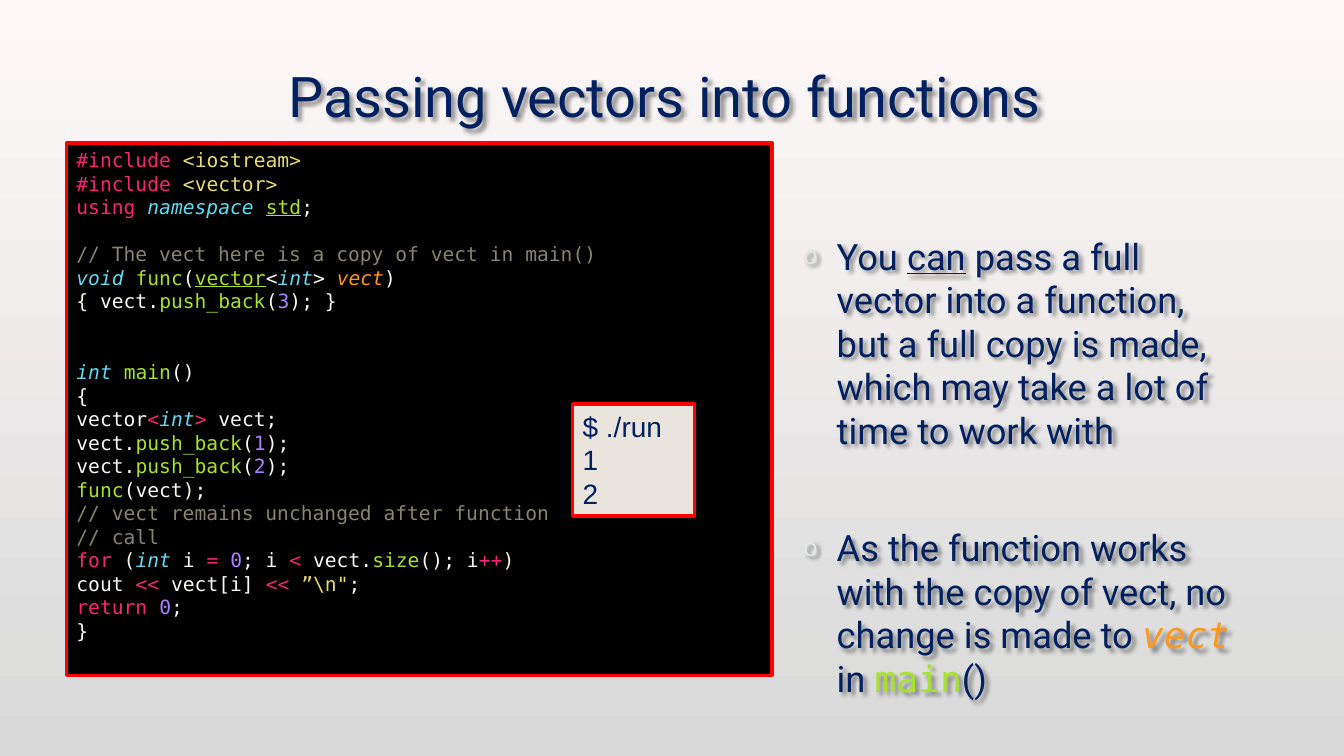
from lxml import etree
from pptx import Presentation
from pptx.dml.color import RGBColor
from pptx.enum.shapes import MSO_SHAPE
from pptx.enum.text import MSO_ANCHOR, MSO_AUTO_SIZE, PP_ALIGN
from pptx.oxml.ns import qn
from pptx.util import Inches, Pt

RECTANGLE = MSO_SHAPE.RECTANGLE
TOP, MIDDLE = MSO_ANCHOR.TOP, MSO_ANCHOR.MIDDLE
LEFT, CENTER = PP_ALIGN.LEFT, PP_ALIGN.CENTER
NO_AUTOFIT = MSO_AUTO_SIZE.NONE

# style: (font, colour, emphasis)
SANS, MONO = "Roboto", "DejaVu Sans Mono"
STYLES = {
    "body": (SANS, "002060", ""),
    "stress": (SANS, "002060", "underline"),
    "output": ("Arial", "002060", ""),
    "plain": (MONO, "F8F8F2", ""),
    "keyword": (MONO, "F92672", ""),
    "type": (MONO, "66D9EF", "italic"),
    "name": (MONO, "A6E22E", ""),
    "class": (MONO, "A6E22E", "underline"),
    "parameter": (MONO, "FD971F", "italic"),
    "number": (MONO, "AE81FF", ""),
    "string": (MONO, "E6DB74", ""),
    "comment": (MONO, "88846F", ""),
}


def push_back(value, before="vect.", after=");"):
    """Code tokens of one push_back call."""
    return [(before, "plain"), ("push_back", "name"), ("(", "plain"),
            (value, "number"), (after, "plain")]


TITLE = [[("Passing vectors into functions", "body")]]

POINTS = [
    [("You ", "body"), ("can", "stress"),
     (" pass a full vector into a function, but a full copy is made, "
      "which may take a lot of time to work with", "body")],
    [("As the function works with the copy of vect, no change is made to ", "body"),
     ("vect", "parameter"), (" in ", "body"), ("main", "name"), ("()", "body")],
]

CODE_BLOCKS = [
    [
        [("#include ", "keyword"), ("<iostream>", "string")],
        [("#include ", "keyword"), ("<vector>", "string")],
        [("using ", "keyword"), ("namespace ", "type"), ("std", "class"), (";", "plain")],
    ],
    [
        [("// The vect here is a copy of vect in main()", "comment")],
        [("void ", "type"), ("func", "name"), ("(", "plain"), ("vector", "class"),
         ("<", "plain"), ("int", "type"), ("> ", "plain"), ("vect", "parameter"),
         (")", "plain")],
        push_back("3", "{ vect.", "); }"),
    ],
    [
        [("int ", "type"), ("main", "name"), ("()", "plain")],
        [("{", "plain")],
        [("vector", "plain"), ("<", "keyword"), ("int", "type"), ("> ", "keyword"),
         ("vect;", "plain")],
        push_back("1"),
        push_back("2"),
        [("func", "name"), ("(vect);", "plain")],
        [("// vect remains unchanged after function", "comment")],
        [("// call", "comment")],
        [("for", "keyword"), (" (", "plain"), ("int ", "type"), ("i ", "plain"),
         ("= ", "keyword"), ("0", "number"), ("; i ", "plain"), ("< ", "keyword"),
         ("vect.", "plain"), ("size", "name"), ("(); i", "plain"), ("++", "keyword"),
         (")", "plain")],
        [("cout ", "plain"), ("<< ", "keyword"), ("vect[i] ", "plain"),
         ("<< ", "keyword"), ("”\\n\"", "string"), (";", "plain")],
        [("return ", "keyword"), ("0", "number"), (";", "plain")],
        [("}", "plain")],
    ],
]
BLANK_LINES = [0, 1, 2]  # ahead of each code block
CODE_LINE = 16.8         # points

OUTPUT = [[(line, "output")] for line in ("$ ./run", "1", "2")]


def color(value):
    return RGBColor.from_string(value)


def place(shape, left, top, width, height):
    shape.left, shape.top = Inches(left), Inches(top)
    shape.width, shape.height = Inches(width), Inches(height)


def write(shape, lines, size, gaps=None, alignment=LEFT, anchor=TOP):
    """Fill a shape with styled lines; gaps maps a line index to points before it."""
    frame = shape.text_frame
    frame.word_wrap = True
    frame.auto_size = NO_AUTOFIT
    frame.vertical_anchor = anchor
    for index, line in enumerate(lines):
        paragraph = frame.paragraphs[0] if index == 0 else frame.add_paragraph()
        paragraph.alignment = alignment
        paragraph.space_before = Pt((gaps or {}).get(index, 0))
        for text, style in line:
            font_name, font_color, emphasis = STYLES[style]
            run = paragraph.add_run()
            run.text = text
            run.font.name = font_name
            run.font.size = Pt(size)
            run.font.color.rgb = color(font_color)
            run.font.italic = emphasis == "italic"
            run.font.underline = emphasis == "underline"


def add_panel(slide, box, fill):
    panel = slide.shapes.add_shape(RECTANGLE, *map(Inches, box))
    panel.shadow.inherit = False
    panel.fill.solid()
    panel.fill.fore_color.rgb = color(fill)
    panel.line.color.rgb = color("FF0000")
    panel.line.width = Pt(2.5)
    return panel


def add_text_shadow(shape):
    shape.shadow.inherit = False
    effects = shape._element.spPr.find(qn("a:effectLst"))
    shadow = etree.SubElement(effects, qn("a:outerShdw"), blurRad="38100",
                              dist="38100", dir="2700000", algn="tl")
    black = etree.SubElement(shadow, qn("a:srgbClr"), val="000000")
    etree.SubElement(black, qn("a:alpha"), val="43000")


def add_bullet(paragraph):
    properties = paragraph._p.get_or_add_pPr()
    properties.set("marL", str(Inches(0.38)))
    properties.set("indent", str(-Inches(0.33)))
    bullet_color = etree.SubElement(properties, qn("a:buClr"))
    etree.SubElement(bullet_color, qn("a:srgbClr"), val="E2E7E8")
    etree.SubElement(properties, qn("a:buSzPct"), val="70000")
    etree.SubElement(properties, qn("a:buFont"), typeface=SANS)
    etree.SubElement(properties, qn("a:buChar"), char="o")


def main():
    presentation = Presentation()
    presentation.slide_width, presentation.slide_height = Inches(13.33), Inches(7.5)
    slide = presentation.slides.add_slide(presentation.slide_layouts[5])

    background = slide.background.fill
    background.gradient()
    background.gradient_angle = 270
    for stop, value, position in zip(background.gradient_stops,
                                     ("FEF9F8", "D9D9D9"), (0, 1)):
        stop.color.rgb = color(value)
        stop.position = position

    title = slide.shapes.title
    place(title, 0.93, 0.25, 11.32, 1.38)
    write(title, TITLE, 40, alignment=CENTER, anchor=MIDDLE)
    add_text_shadow(title)

    points = slide.shapes.add_textbox(*map(Inches, (7.82, 2.27, 4.5, 4.06)))
    write(points, POINTS, 25.9, gaps={1: 53})
    for paragraph in points.text_frame.paragraphs:
        add_bullet(paragraph)
    add_text_shadow(points)

    code_lines, code_gaps = [], {}
    for block, blanks in zip(CODE_BLOCKS, BLANK_LINES):
        code_gaps[len(code_lines)] = blanks * CODE_LINE
        code_lines += block
    write(add_panel(slide, (0.66, 1.42, 7, 5.28), "000000"), code_lines, 14, code_gaps)
    write(add_panel(slide, (5.68, 4.01, 1.21, 1.11), "E9E5DC"), OUTPUT, 20)

    presentation.save("out.pptx")


if __name__ == "__main__":
    main()
